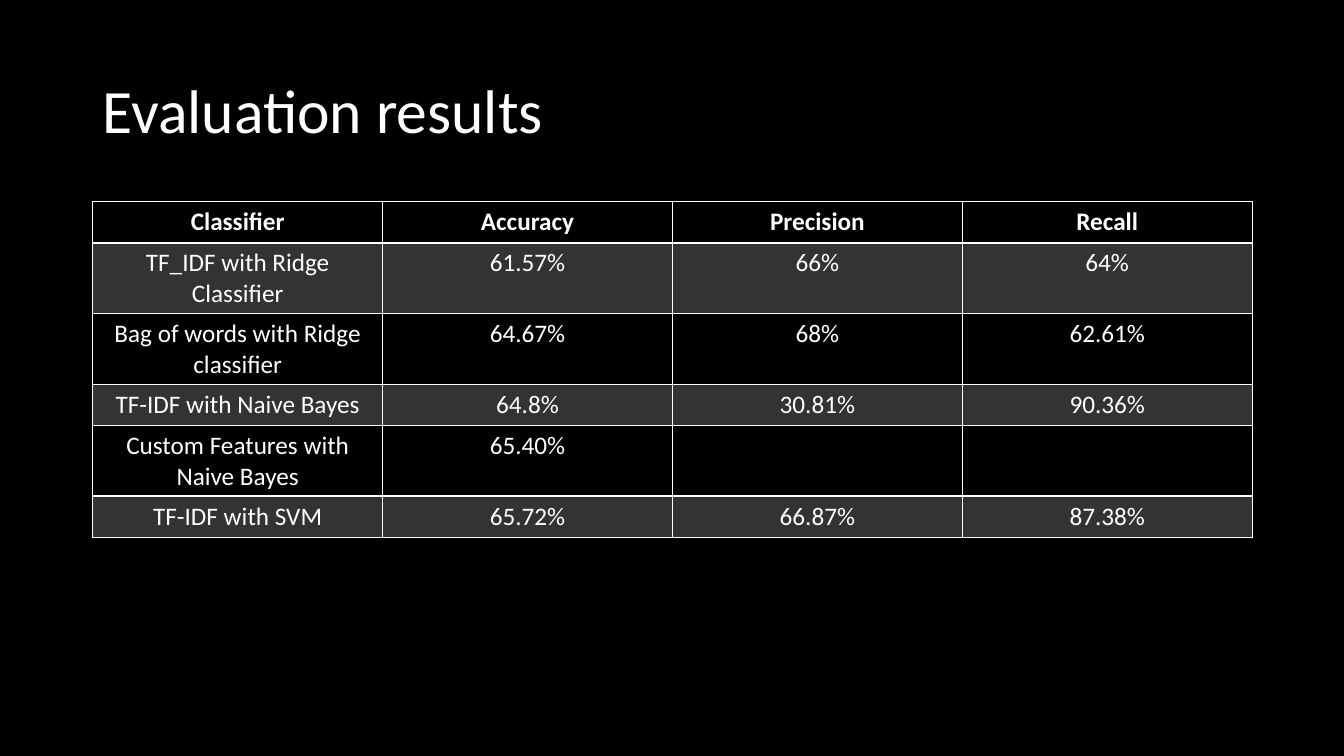
from lxml import etree
from pptx import Presentation
from pptx import util as u
from pptx.dml import color
from pptx.enum import text
from pptx.oxml import ns

BLACK = color.RGBColor(0x00, 0x00, 0x00)
WHITE = color.RGBColor(0xFF, 0xFF, 0xFF)
WIDTH, HEIGHT = u.Inches(13.33), u.Inches(7.5)
MARGIN = u.Inches(0.92)
CONTENT_WIDTH = u.Inches(11.5)
ROW_HEIGHT = u.Inches(0.41)
BAND_OPACITY = 20
TITLE_FONT = {"name": "Calibri", "size": u.Pt(44), "bold": False}
HEADER_FONT = {"name": "Calibri", "size": u.Pt(18), "bold": True}
BODY_FONT = {**HEADER_FONT, "bold": False}

RESULTS = [
    ("Classifier", "Accuracy", "Precision", "Recall"),
    ("TF_IDF with Ridge Classifier", "61.57%", "66%", "64%"),
    ("Bag of words with Ridge classifier", "64.67%", "68%", "62.61%"),
    ("TF-IDF with Naive Bayes", "64.8%", "30.81%", "90.36%"),
    ("Custom Features with Naive Bayes", "65.40%", "", ""),
    ("TF-IDF with SVM", "65.72%", "66.87%", "87.38%"),
]


def apply_format(target, values):
    for name, value in values.items():
        setattr(target, name, value)


def write_text(frame, words, font, alignment):
    para = frame.paragraphs[0]
    para.alignment = alignment
    if words:
        span = para.add_run()
        span.text = words
        apply_format(span.font, font)
        span.font.color.rgb = WHITE
    else:
        apply_format(para.font, font)
    return para


def add_title(page, words):
    box = page.shapes.add_textbox(MARGIN, u.Inches(0.4), CONTENT_WIDTH, u.Inches(1.45))
    frame = box.text_frame
    apply_format(frame, {"word_wrap": True, "vertical_anchor": text.MSO_ANCHOR.MIDDLE})
    para = write_text(frame, words, TITLE_FONT, text.PP_ALIGN.LEFT)
    para.line_spacing = 0.9


def fill_band(cell):
    cell.fill.solid()
    cell.fill.fore_color.rgb = WHITE
    tint = cell.fill._xPr.find(".//" + ns.qn("a:srgbClr"))
    etree.SubElement(tint, ns.qn("a:alpha"), val=str(BAND_OPACITY * 1000))


def draw_borders(cell, widths):
    properties = cell._tc.get_or_add_tcPr()
    for position, (side, points) in enumerate(widths.items()):
        line = etree.Element(ns.qn("a:ln" + side), w=str(u.Pt(points)))
        paint = etree.SubElement(line, ns.qn("a:solidFill"))
        etree.SubElement(paint, ns.qn("a:srgbClr"), val=str(WHITE))
        properties.insert(position, line)


def add_results_table(page, results):
    rows, columns = len(results), len(results[0])
    frame = page.shapes.add_table(
        rows, columns, MARGIN, u.Inches(2), CONTENT_WIDTH, ROW_HEIGHT * rows
    )
    table = frame.table
    apply_format(table, {"first_row": True, "horz_banding": False})
    for row, record in enumerate(results):
        for column, words in enumerate(record):
            cell = table.cell(row, column)
            font = BODY_FONT if row else HEADER_FONT
            write_text(cell.text_frame, words, font, text.PP_ALIGN.CENTER)
            if row % 2:
                fill_band(cell)
            else:
                cell.fill.background()
            widths = {
                "L": 1,
                "R": 1,
                "T": 2 if row == 1 else 1,
                "B": 1 if row else 2,
            }
            draw_borders(cell, widths)


def main():
    deck = Presentation()
    apply_format(deck, {"slide_width": WIDTH, "slide_height": HEIGHT})
    page = deck.slides.add_slide(deck.slide_layouts[6])
    page.background.fill.solid()
    page.background.fill.fore_color.rgb = BLACK
    add_title(page, "Evaluation results")
    add_results_table(page, RESULTS)
    deck.save("out.pptx")


main()
